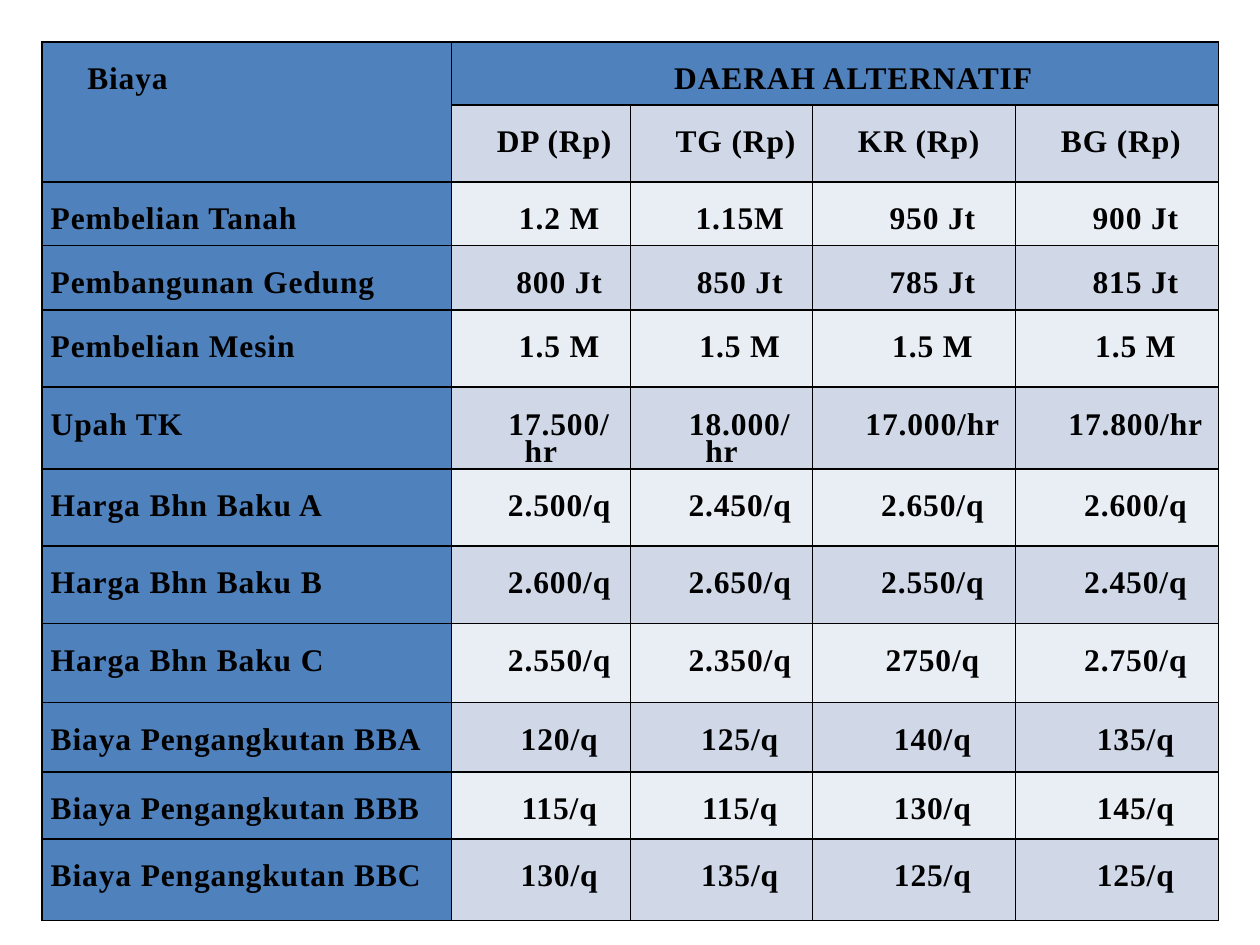
from pptx import Presentation
from pptx.dml.color import RGBColor
from pptx.enum.text import PP_ALIGN as Align
from pptx.oxml.ns import qn
from pptx.util import Pt
from lxml.etree import SubElement

HEADER_FILL = "4F81BD"
BAND_FILLS = ("E9EDF4", "D0D8E8")
INK = "000000"
LINE_HEIGHT = 15.6
FIRST_INDENT = 20.9

COLUMN_WIDTHS = (234, 102.2, 104.2, 116, 116)
ROW_HEIGHTS = (36, 44, 36.3, 36.8, 44.2, 46.8, 44, 44.2, 45.2, 39.7, 38.2, 46.8)

REGIONS = ("DP (Rp)", "TG (Rp)", "KR (Rp)", "BG (Rp)")
COSTS = (
    ("Pembelian Tanah", "1.2 M", "1.15M", "950 Jt", "900 Jt"),
    ("Pembangunan Gedung", "800 Jt", "850 Jt", "785 Jt", "815 Jt"),
    ("Pembelian Mesin", "1.5 M", "1.5 M", "1.5 M", "1.5 M"),
    ("Upah TK", "17.500/hr", "18.000/hr", "17.000/hr", "17.800/hr"),
    ("Harga Bhn Baku A", "2.500/q", "2.450/q", "2.650/q", "2.600/q"),
    ("Harga Bhn Baku B", "2.600/q", "2.650/q", "2.550/q", "2.450/q"),
    ("Harga Bhn Baku C", "2.550/q", "2.350/q", "2750/q", "2.750/q"),
    ("Biaya Pengangkutan BBA", "120/q", "125/q", "140/q", "135/q"),
    ("Biaya Pengangkutan BBB", "115/q", "115/q", "130/q", "145/q"),
    ("Biaya Pengangkutan BBC", "130/q", "135/q", "125/q", "125/q"),
)


def color(value):
    """Turn a hex string into a colour."""
    return RGBColor.from_string(value)


def style_cell(cell, fill):
    """Give a cell its margins, black borders and fill."""
    cell.margin_left = cell.margin_right = Pt(5)
    cell.margin_top, cell.margin_bottom = Pt(LINE_HEIGHT), Pt(0)
    properties = cell._tc.get_or_add_tcPr()
    for side in ("a:lnL", "a:lnR", "a:lnT", "a:lnB"):
        line = SubElement(properties, qn(side), w=str(Pt(1)))
        line_fill = SubElement(line, qn("a:solidFill"))
        SubElement(line_fill, qn("a:srgbClr"), val=INK)
    cell.fill.solid()
    cell.fill.fore_color.rgb = color(fill)


def write_cell(cell, text, alignment, indent):
    """Write one bold, slightly spaced run into a cell."""
    paragraph = cell.text_frame.paragraphs[0]
    paragraph.alignment = alignment
    paragraph.line_spacing = Pt(LINE_HEIGHT)
    properties = paragraph._p.get_or_add_pPr()
    properties.set("marL", "0")
    properties.set("indent", str(Pt(indent)))
    run = paragraph.add_run()
    run.text = text
    run.font.name = "Times New Roman"
    run.font.size = Pt(18)
    run.font.bold = True
    run.font.color.rgb = color(INK)
    run._r.get_or_add_rPr().set("spc", "50")


def add_cost_table(slide, left, top):
    """Place the table comparing costs by region."""
    shape = slide.shapes.add_table(
        len(ROW_HEIGHTS), len(COLUMN_WIDTHS), Pt(left), Pt(top),
        Pt(sum(COLUMN_WIDTHS)), Pt(sum(ROW_HEIGHTS)))
    table = shape.table
    for column, width in zip(table.columns, COLUMN_WIDTHS):
        column.width = Pt(width)
    for row_index, height in enumerate(ROW_HEIGHTS):
        table.rows[row_index].height = Pt(height)
        for column_index in range(len(COLUMN_WIDTHS)):
            is_header = row_index == 0 or column_index == 0
            fill = HEADER_FILL if is_header else BAND_FILLS[row_index % 2]
            style_cell(table.cell(row_index, column_index), fill)

    table.cell(0, 0).merge(table.cell(1, 0))
    table.cell(0, 1).merge(table.cell(0, 4))
    write_cell(table.cell(0, 0), "Biaya ", Align.JUSTIFY, FIRST_INDENT)
    write_cell(table.cell(0, 1), "DAERAH ALTERNATIF", Align.CENTER, FIRST_INDENT)
    for column_index, region in enumerate(REGIONS, 1):
        write_cell(table.cell(1, column_index), region, Align.JUSTIFY, FIRST_INDENT)
    for row_index, (label, *values) in enumerate(COSTS, 2):
        write_cell(table.cell(row_index, 0), label, Align.JUSTIFY, 0)
        for column_index, value in enumerate(values, 1):
            write_cell(table.cell(row_index, column_index), value,
                       Align.CENTER, FIRST_INDENT)


def main():
    """Build and save the presentation."""
    presentation = Presentation()
    presentation.slide_width, presentation.slide_height = Pt(720), Pt(540)
    slide = presentation.slides.add_slide(presentation.slide_layouts[6])
    add_cost_table(slide, 24, 24)
    presentation.save("out.pptx")


if __name__ == "__main__":
    main()
